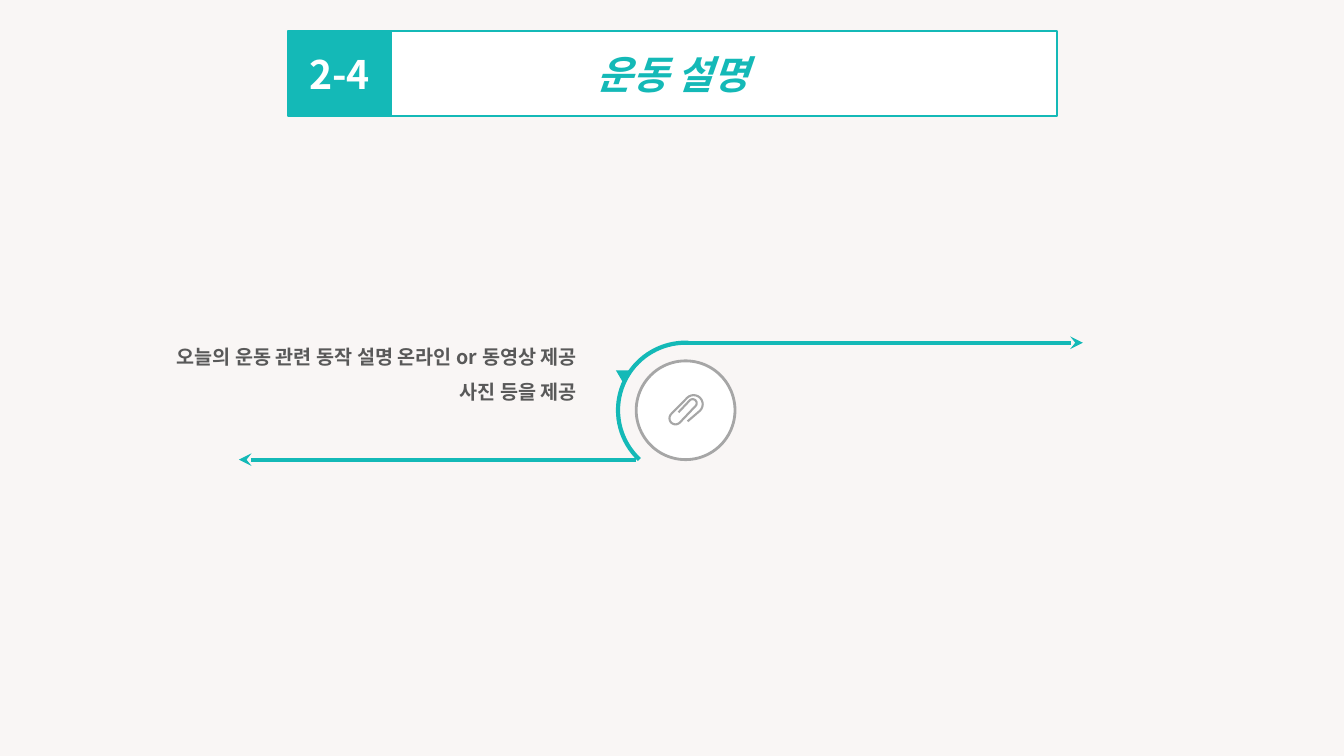
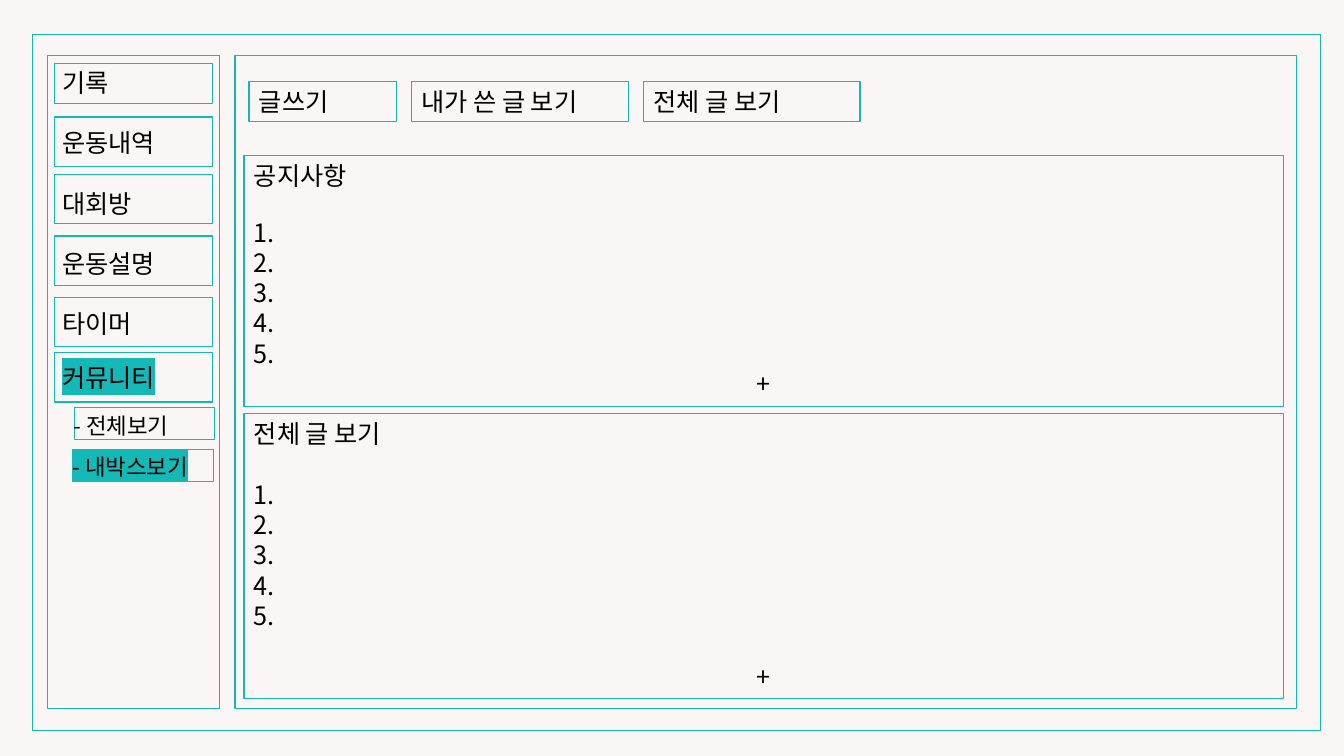
"""Build the exercise guide slide and the community screen slide."""
from dataclasses import dataclass
from math import cos, radians, sin

from lxml.etree import SubElement
from pptx import Presentation
from pptx.dml.color import RGBColor as Rgb
from pptx.enum.shapes import MSO_CONNECTOR as Link, MSO_SHAPE as Kind
from pptx.enum.text import MSO_ANCHOR as Anchor, PP_ALIGN as Align
from pptx.oxml.ns import qn
from pptx.util import Emu, Pt

SCALE = 9144
FONT = "Noto Sans CJK KR"
HUES = {
    "back": "F9F6F5",
    "teal": "14B9B7",
    "white": "FFFFFF",
    "black": "000000",
    "gray": "A6A6A6",
    "dark": "595959",
}


@dataclass
class Row:
    """One paragraph and its look."""
    text: str
    size: int = 18
    hue: str = "black"
    bold: bool = False
    slant: bool = False
    align: Align = Align.LEFT
    gap: float = 0
    pitch: float = 1.2
    dent: int = 0
    mark: bool = False


def px(num):
    """Turn px into EMU."""
    return Emu(round(num * SCALE))


def tint(name):
    """Look up a colour."""
    return Rgb.from_string(HUES[name])


def paint(shape, fill, line, width):
    """Set fill and outline and drop the shadow."""
    shape.shadow.inherit = False
    if fill:
        shape.fill.solid()
        shape.fill.fore_color.rgb = tint(fill)
    else:
        shape.fill.background()
    if line:
        shape.line.color.rgb = tint(line)
        shape.line.width = Pt(width)
    else:
        shape.line.fill.background()


def draw(slide, kind, box, fill=None, line=None, width=1):
    """Add a preset shape."""
    shape = slide.shapes.add_shape(kind, *map(px, box))
    paint(shape, fill, line, width)
    return shape


def style(run, row):
    """Format a run."""
    font = run.font
    font.size, font.bold, font.italic = Pt(row.size), row.bold, row.slant
    font.color.rgb = tint(row.hue)
    font.name = FONT
    props = run._r.get_or_add_rPr()
    SubElement(props, qn("a:ea"), typeface=FONT)
    if row.mark:
        glow = SubElement(props, qn("a:highlight"))
        SubElement(glow, qn("a:srgbClr"), val=HUES["teal"])
        props.find(qn("a:latin")).addprevious(glow)


def write(shape, rows, anchor=Anchor.TOP):
    """Fill a shape with rows of text."""
    frame = shape.text_frame
    frame.word_wrap = True
    frame.vertical_anchor = anchor
    frame.text = "\n".join(row.text for row in rows)
    for para, row in zip(frame.paragraphs, rows):
        para.alignment = row.align
        para.space_before = Pt(row.gap)
        if row.pitch:
            para.line_spacing = Pt(row.size * row.pitch)
        if row.dent:
            para._p.get_or_add_pPr().set("marL", str(px(row.dent)))
        for run in para.runs:
            style(run, row)


def note(slide, box, rows):
    """Add a text box."""
    write(slide.shapes.add_textbox(*map(px, box)), rows)


def arrow(slide, start, end):
    """Add a teal arrow."""
    wire = slide.shapes.add_connector(Link.STRAIGHT, *map(px, start + end))
    wire.line.color.rgb = tint("teal")
    wire.line.width = Pt(3)
    SubElement(wire.line._get_or_add_ln(), qn("a:tailEnd"), type="stealth")
    SubElement(wire._element.spPr, qn("a:effectLst"))


def bend(x, y, size, start):
    """List the points of a half turn."""
    turns = [radians(start - step) for step in range(0, 181, 15)]
    return [(px(x + size * cos(turn)), px(y + size * sin(turn)))
            for turn in turns]


def clip(slide):
    """Draw the paper clip."""
    dots = [*bend(688, 401, 9, 45), *bend(670, 415, 6, -135),
            *bend(687, 400, 4, 45), (px(673), px(409))]
    form = slide.shapes.build_freeform(px(682), px(418), scale=1.0)
    form.add_line_segments(dots, close=False)
    paint(form.convert_to_shape(), None, "gray", 1.5)


def title(slide, code, text):
    """Add the title bar with its number."""
    look = {"size": 28, "bold": True, "align": Align.CENTER, "pitch": 0}
    bar = draw(slide, Kind.RECTANGLE, (286, 31, 762, 84),
               "white", "teal", 1.5)
    write(bar, [Row(text, hue="teal", slant=True, **look)], Anchor.MIDDLE)
    tag = draw(slide, Kind.RECTANGLE, (286, 31, 102, 84), "teal", "teal")
    write(tag, [Row(code, hue="white", **look)], Anchor.MIDDLE)


def guide(slide):
    """Build the exercise guide."""
    title(slide, "2-4", "운동 설명")
    arc = draw(slide, Kind.ARC, (613, 340, 134, 134), None, "teal", 3)
    arc.adjustments[0], arc.adjustments[1] = 79.85, 163.4
    arrow(slide, (680, 340), (1074, 340))
    draw(slide, Kind.OVAL, (631, 358, 98, 98), "white", "gray", 2)
    lines = ["오늘의 운동 관련 동작 설명 온라인 or 동영상 제공", "사진 등을 제공"]
    note(slide, (97, 326, 485, 76),
         [Row(line, 14, "dark", True, align=Align.RIGHT, pitch=1.79)
          for line in lines])
    tip = draw(slide, Kind.ISOSCELES_TRIANGLE, (609, 364, 16, 14), "teal")
    tip.rotation = 300
    clip(slide)
    arrow(slide, (631, 456), (237, 456))


def menu(slide):
    """Build the side menu."""
    draw(slide, Kind.RECTANGLE, (47, 55, 171, 648), "back", "teal")
    tops = [116, 173, 234, 295, 350]
    cells = [(54, 63, 157, 40), *[(54, top, 157, 49) for top in tops],
             (74, 404, 139, 32), (73, 446, 139, 32)]
    for cell in cells:
        draw(slide, Kind.RECTANGLE, cell, "back", "teal")
    names = ["운동내역", "대회방", "운동설명", "타이머"]
    note(slide, (52, 62, 170, 424), [
        Row("기록"),
        *[Row(name, gap=21.5) for name in names],
        Row("커뮤니티", gap=16.5, mark=True),
        Row("- 전체보기", 16, gap=14, dent=11),
        Row("- 내박스보기", 16, gap=10, dent=10, mark=True),
    ])


def panel(slide, box, head, gap, last):
    """Add a numbered list panel."""
    rows = [Row(head), *[Row(f"{num}.") for num in range(1, 6)],
            Row("+", align=Align.CENTER, gap=last)]
    rows[1].gap = gap
    write(draw(slide, Kind.RECTANGLE, box, None, "teal", 0.75), rows)


def board(slide):
    """Build the community screen."""
    draw(slide, Kind.RECTANGLE, (32, 34, 1278, 691), "back", "teal")
    menu(slide)
    draw(slide, Kind.RECTANGLE, (233, 55, 1053, 648), None, "teal")
    tabs = [("글쓰기", 146), ("내가 쓴 글 보기", 215), ("전체 글 보기", 215)]
    left = 247
    for text, wide in tabs:
        tab = draw(slide, Kind.RECTANGLE, (left, 81, wide, 40),
                   None, "teal", 0.75)
        write(tab, [Row(text)])
        left += wide + 15
    panel(slide, (242, 154, 1031, 249), "공지사항", 19, 0)
    panel(slide, (242, 410, 1031, 283), "전체 글 보기", 22, 22)


def main():
    """Make and save the deck."""
    deck = Presentation()
    deck.slide_width, deck.slide_height = px(1333), px(750)
    back = deck.slide_master.background.fill
    back.solid()
    back.fore_color.rgb = tint("back")
    for build in (guide, board):
        build(deck.slides.add_slide(deck.slide_layouts[6]))
    deck.save("out.pptx")


if __name__ == "__main__":
    main()
